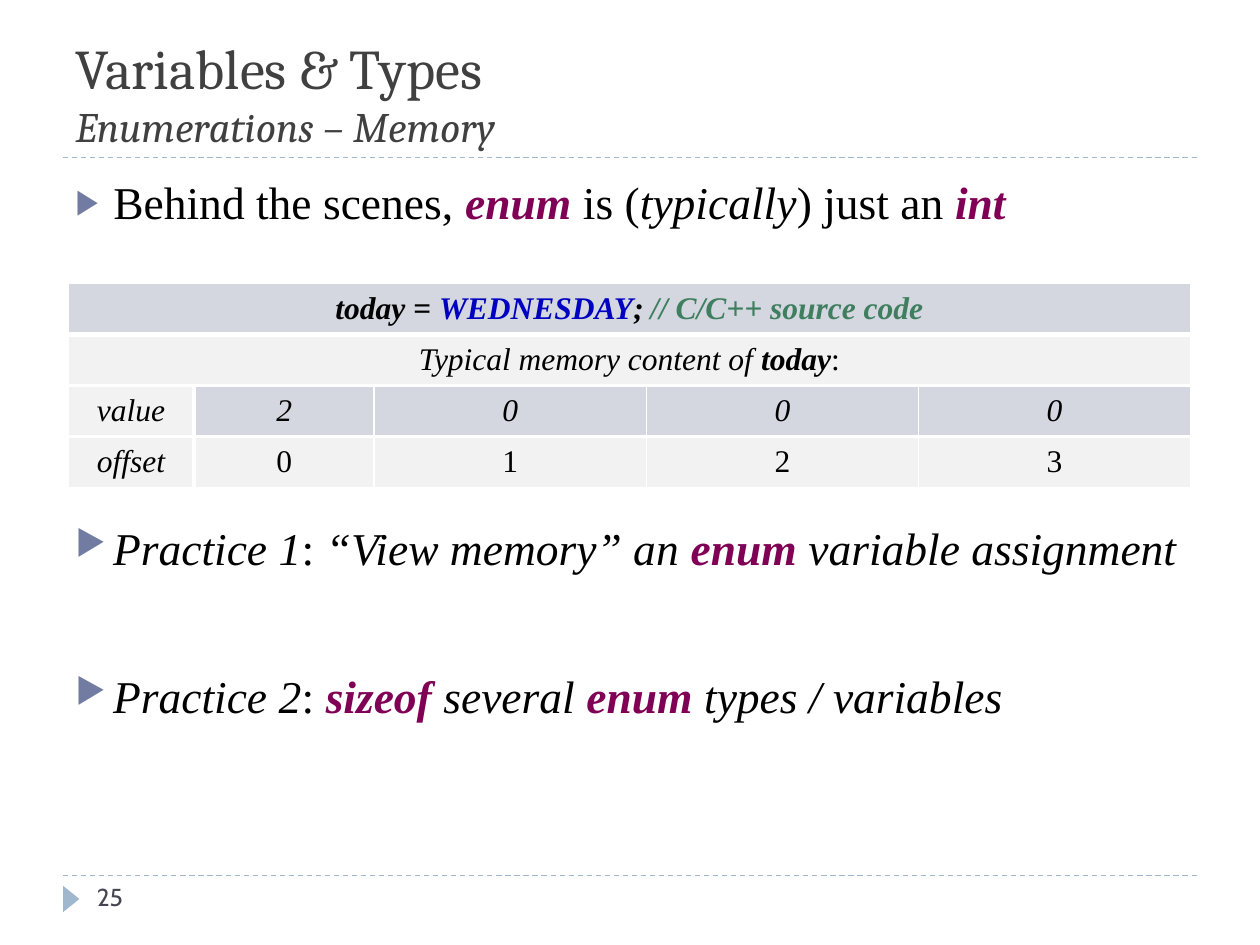
from lxml import etree
from pptx import Presentation, util as u
from pptx.dml.color import RGBColor
from pptx.enum import dml, shapes, text
from pptx.oxml.ns import qn

SERIF = "Times New Roman"
PLAIN = {"color": "000000", "bold": False, "italic": False}
ITALIC = {**PLAIN, "italic": True}
BOLD = {**ITALIC, "bold": True}
KEYWORD = {**BOLD, "color": "7F0055"}
CONSTANT = {**BOLD, "color": "0000C0"}
COMMENT = {**BOLD, "color": "3F7F5F"}
TITLE = {**PLAIN, "color": "404040", "name": "Cambria", "size": 32}
SUBTITLE = {**TITLE, "size": 24, "italic": True}
NUMBER = {**PLAIN, "color": "464653", "name": "Cabin", "size": 14}

BULLETS = [
    (1.33, 0.67, [("Behind the scenes, ", PLAIN), ("enum", KEYWORD), (" is (", PLAIN),
                  ("typically", ITALIC), (") just an ", PLAIN), ("int", KEYWORD)]),
    (4.08, 0.92, [("Practice 1", ITALIC), (": ", PLAIN), ("“View memory” an ", ITALIC),
                  ("enum", KEYWORD), (" variable assignment", ITALIC)]),
    (5.25, 0.92, [("Practice 2", ITALIC), (": ", PLAIN), ("sizeof", KEYWORD),
                  (" several ", ITALIC), ("enum", KEYWORD), (" types / variables", ITALIC)]),
]
BLUE, GRAY = "D5D7E0", "F2F2F2"
ROWS = [
    [(BLUE, [("today = ", BOLD), ("WEDNESDAY", CONSTANT), (";\t", BOLD),
             ("// C/C++ source code", COMMENT)])],
    [(GRAY, [("Typical memory content of ", ITALIC), ("today", BOLD), (":", PLAIN)])],
    [(GRAY, [("value", ITALIC)])] + [(BLUE, [(value, ITALIC)]) for value in "2000"],
    [(GRAY, [("offset", ITALIC)])] + [(GRAY, [(offset, PLAIN)]) for offset in "0123"],
]
COLUMN_WIDTHS = [1, 1.43, 2.16, 2.16, 2.16]
ROW_HEIGHT = 0.405
HORIZONTAL_EDGES = [1, 3, 2.25, 2.25, 1]
VERTICAL_EDGES = [1, 2.25, 1, 1, 1, 1]
RULES = [1.25, 6.95]


def paint(color_format, color):
    color_format.rgb = RGBColor.from_string(color)


def place(shape, *box):
    for name, value in zip(("left", "top", "width", "height"), box):
        setattr(shape, name, u.Inches(value))


def add_runs(paragraph, runs, size=18):
    for words, style in runs:
        run = paragraph.add_run()
        run.text = words
        values = {"name": SERIF, "size": size, **style}
        paint(run.font.color, values.pop("color"))
        values["size"] = u.Pt(values["size"])
        for name, value in values.items():
            setattr(run.font, name, value)


def set_frame(frame, anchor):
    values = {"word_wrap": True, "auto_size": text.MSO_AUTO_SIZE.NONE, "vertical_anchor": anchor}
    for name, value in values.items():
        setattr(frame, name, value)


def add_title(slide):
    title = slide.shapes.title
    place(title, 0.5, 0.17, 9, 1.08)
    set_frame(title.text_frame, text.MSO_ANCHOR.BOTTOM)
    paragraph = title.text_frame.paragraphs[0]
    paragraph.alignment = text.PP_ALIGN.LEFT
    add_runs(paragraph, [("Variables & Types", TITLE)])
    paragraph.add_line_break()
    add_runs(paragraph, [("Enumerations – Memory", SUBTITLE)])


def add_bullet(shape, top, height, runs):
    place(shape, 0.5, top, 9, height)
    set_frame(shape.text_frame, text.MSO_ANCHOR.TOP)
    paragraph = shape.text_frame.paragraphs[0]
    paragraph.alignment = text.PP_ALIGN.JUSTIFY
    paragraph.space_before = u.Pt(6)
    properties = paragraph._p.get_or_add_pPr()
    properties.set("marL", str(u.Inches(0.3)))
    properties.set("indent", str(u.Inches(-0.3)))
    color = etree.SubElement(properties, qn("a:buClr"))
    etree.SubElement(color, qn("a:srgbClr"), val="727CA3")
    etree.SubElement(properties, qn("a:buSzPct"), val="76000")
    etree.SubElement(properties, qn("a:buChar"), char="▶")
    add_runs(paragraph, runs, 26)


def add_border(cell, side, width):
    line = etree.SubElement(cell._tc.get_or_add_tcPr(), qn(f"a:ln{side}"), w=str(u.Pt(width)))
    etree.SubElement(etree.SubElement(line, qn("a:solidFill")), qn("a:srgbClr"), val="FFFFFF")


def add_memory_table(slide):
    count = len(COLUMN_WIDTHS)
    box = map(u.Inches, (0.54, 2.25, sum(COLUMN_WIDTHS), ROW_HEIGHT * len(ROWS)))
    table = slide.shapes.add_table(len(ROWS), count, *box).table
    for column, width in zip(table.columns, COLUMN_WIDTHS):
        column.width = u.Inches(width)
    for r, row in enumerate(ROWS):
        table.rows[r].height = u.Inches(ROW_HEIGHT)
        span = count // len(row)
        for c, (fill, runs) in enumerate(row):
            cell = table.cell(r, c)
            if span > 1:
                cell.merge(table.cell(r, count - 1))
            edges = {"L": VERTICAL_EDGES[c], "R": VERTICAL_EDGES[c + span],
                     "T": HORIZONTAL_EDGES[r], "B": HORIZONTAL_EDGES[r + 1]}
            for side, width in edges.items():
                add_border(cell, side, width)
            cell.fill.solid()
            paint(cell.fill.fore_color, fill)
            cell.vertical_anchor = text.MSO_ANCHOR.MIDDLE
            paragraph = cell.text_frame.paragraphs[0]
            paragraph.alignment = text.PP_ALIGN.CENTER
            add_runs(paragraph, runs)


def add_rule(slide, top):
    ends = map(u.Inches, (0.5, top, 9.5, top))
    rule = slide.shapes.add_connector(shapes.MSO_CONNECTOR.STRAIGHT, *ends)
    paint(rule.line.color, "9FB8CD")
    rule.line.width = u.Pt(0.75)
    rule.line.dash_style = dml.MSO_LINE.DASH
    etree.SubElement(rule._element.spPr, qn("a:effectLst"))


def add_page_number(slide):
    box = map(u.Inches, (0.46, 7.07, 0.21, 0.13))
    marker = slide.shapes.add_shape(shapes.MSO_SHAPE.ISOSCELES_TRIANGLE, *box)
    marker.rotation = 90
    marker.shadow.inherit = False
    marker.fill.solid()
    paint(marker.fill.fore_color, "9FB8CD")
    marker.line.fill.background()
    number = slide.shapes.add_textbox(*map(u.Inches, (0.67, 6.95, 2.17, 0.4)))
    set_frame(number.text_frame, text.MSO_ANCHOR.TOP)
    add_runs(number.text_frame.paragraphs[0], [("25", NUMBER)])


def main():
    """Build the slide on enumerations in memory."""
    presentation = Presentation()
    presentation.slide_width, presentation.slide_height = u.Inches(10), u.Inches(7.5)
    slide = presentation.slides.add_slide(presentation.slide_layouts[1])
    for top in RULES:
        add_rule(slide, top)
    add_title(slide)
    add_bullet(slide.placeholders[1], *BULLETS[0])
    add_page_number(slide)
    add_memory_table(slide)
    for bullet in BULLETS[1:]:
        add_bullet(slide.shapes.add_textbox(0, 0, 0, 0), *bullet)
    presentation.save("out.pptx")


if __name__ == "__main__":
    main()
